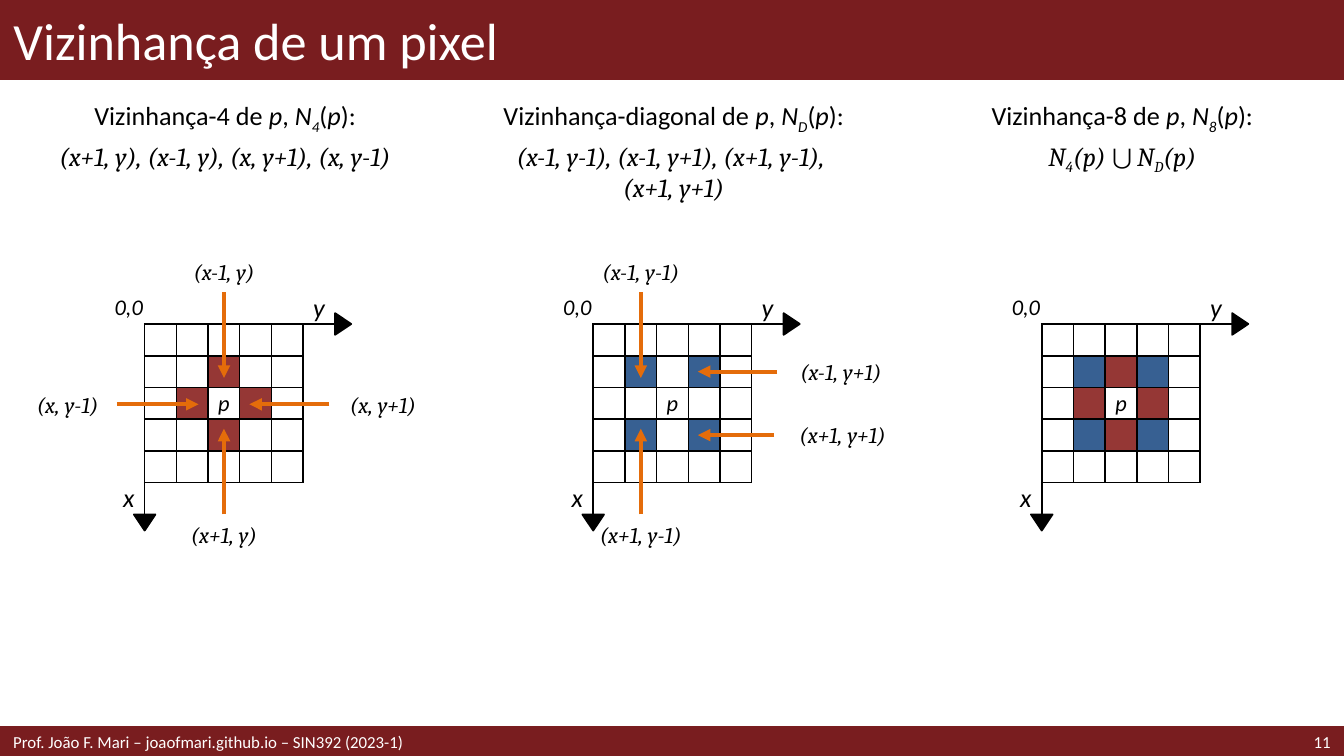
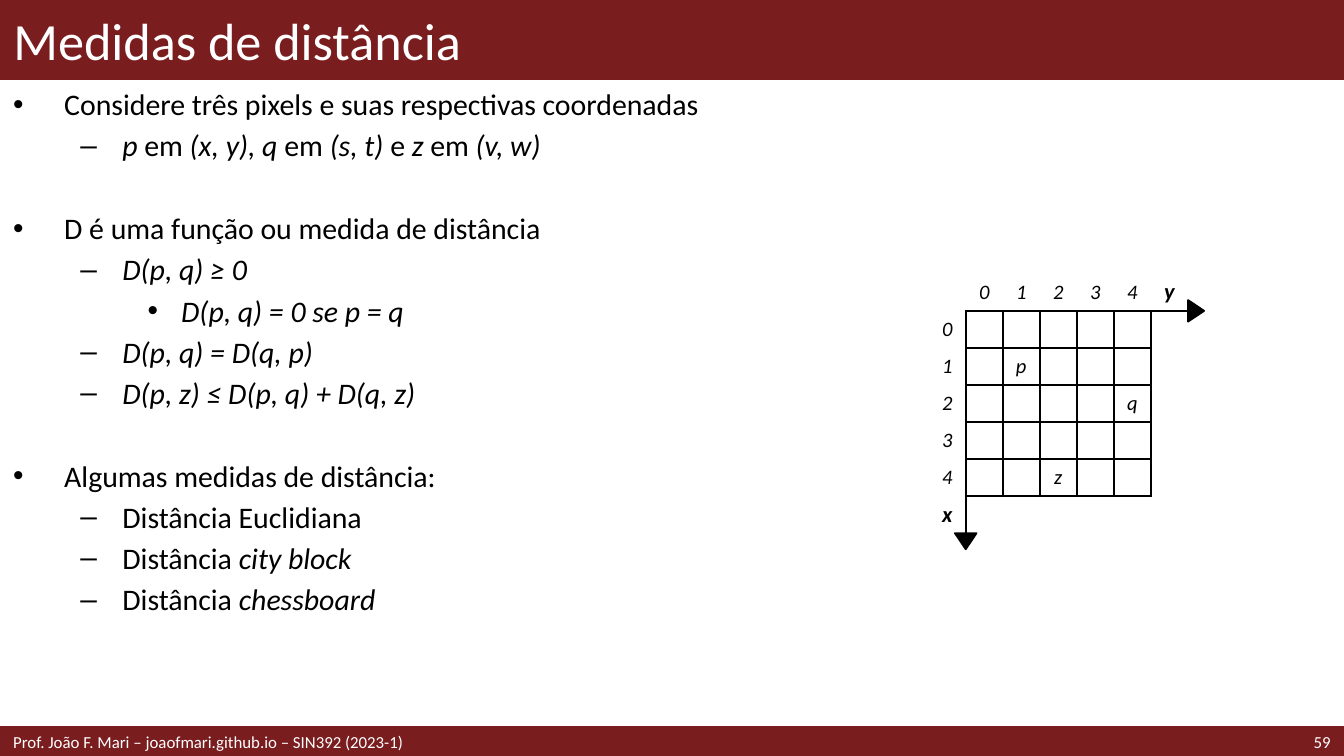
from copy import deepcopy

from lxml import etree
from pptx import Presentation
from pptx.dml.color import RGBColor
from pptx.enum.shapes import MSO_CONNECTOR, MSO_SHAPE
from pptx.enum.text import MSO_ANCHOR, MSO_AUTO_SIZE, PP_ALIGN
from pptx.oxml.ns import qn
from pptx.util import Pt

STRAIGHT = MSO_CONNECTOR.STRAIGHT
RECTANGLE, TRIANGLE = MSO_SHAPE.RECTANGLE, MSO_SHAPE.ISOSCELES_TRIANGLE
TOP, MIDDLE = MSO_ANCHOR.TOP, MSO_ANCHOR.MIDDLE
NO_FIT = MSO_AUTO_SIZE.NONE
LEFT, CENTER, RIGHT = PP_ALIGN.LEFT, PP_ALIGN.CENTER, PP_ALIGN.RIGHT

COLORS = {
    "band": "791D1F",
    "white": "FFFFFF",
    "black": "000000",
    "red": "953735",
    "blue": "376092",
    "orange": "E46C0A",
}
WIDTH, HEIGHT = 720, 405
TITLE_HEIGHT, FOOTER_TOP, FOOTER_HEIGHT = 42.5, 390, 15
FOOTER = "Prof. João F. Mari – joaofmari.github.io – SIN392 (2023-1)"
NO_TABLE_STYLE = "{2D5ABB26-0587-4C30-8999-92F81FD0307C}"
GRID_COUNT = 7
LABEL_HEIGHT = 21.6
ARROW_END = 13.6

SIDES = [(3, 2), (3, 4), (2, 3), (4, 3)]
DIAGONALS = [(2, 2), (2, 4), (4, 2), (4, 4)]
RED_CELLS = dict.fromkeys(SIDES, "red")
BLUE_CELLS = dict.fromkeys(DIAGONALS, "blue")

# Each neighbour: text, label width, direction, sideways shift, arrow reach.
NEIGHBOURHOODS = [
    {
        "heading": "Vizinhança-4 de *p*, *N_4_*(*p*):",
        "formula": "*(x+1, y), (x-1, y), (x, y+1), (x, y-1)*",
        "fills": RED_CELLS,
        "neighbours": [
            ("(x-1, y)", 52.6, (0, -1), 0, 59.5),
            ("(x+1, y)", 57.6, (0, 1), 0, 59.5),
            ("(x, y-1)", 52.6, (-1, 0), 0.5, 57.4),
            ("(x, y+1)", 57.6, (1, 0), 0.5, 56.4),
        ],
    },
    {
        "heading": "Vizinhança-diagonal de *p*, *N_D_*(*p*):",
        "formula": "*(x-1, y-1), (x-1, y+1), (x+1, y-1), \n(x+1, y+1)*",
        "fills": BLUE_CELLS,
        "neighbours": [
            ("(x-1, y-1)", 63.4, (0, -1), -17, 59.5),
            ("(x-1, y+1)", 68.4, (1, 0), -17, 56),
            ("(x+1, y-1)", 68.4, (0, 1), -17, 59.5),
            ("(x+1, y+1)", 73.4, (1, 0), 17, 54.4),
        ],
    },
    {
        "heading": "Vizinhança-8 de *p*, *N_8_*(*p*):",
        "formula": "*N_4_(p) ⋃ N_D_(p)*",
        "fills": RED_CELLS | BLUE_CELLS,
        "neighbours": [],
    },
]

BULLETS = [("•", 27.36, 27.36), ("–", 58.5, 22.5), ("•", 90, 18)]
LINE_GAP, SECTION_GAP = 2.85, 25.2
TOPICS = [
    (0, "Considere três pixels e suas respectivas coordenadas"),
    (1, "*p* em *(x, y), q* em *(s, t) *e *z* em *(v, w)*"),
    (0, "D é uma função ou medida de distância"),
    (1, "*D(p, q) ≥ 0*"),
    (2, "*D(p, q) = 0 se p = q*"),
    (1, "*D(p, q) = D(q, p)*"),
    (1, "*D(p, z) ≤ D(p, q) + D(q, z)*"),
    (0, "Algumas medidas de distância:"),
    (1, "Distância Euclidiana"),
    (1, "Distância *city block*"),
    (1, "Distância *chessboard*"),
]


def rgb(name):
    """Return the named colour."""
    return RGBColor.from_string(COLORS[name])


def write(paragraph, text, size=12, font="Calibri", color="black", bold=False, align=LEFT, before=0):
    """Write text in which * toggles italic, _ toggles subscript and a newline breaks the line."""
    paragraph.alignment = align
    paragraph.space_before = Pt(before)
    for italic_index, piece in enumerate(text.split("*")):
        for subscript_index, part in enumerate(piece.split("_")):
            for line_index, line in enumerate(part.split("\n")):
                if line_index:
                    paragraph.add_line_break()
                    paragraph._p[-1].append(deepcopy(run.font._element))
                if not line:
                    continue
                run = paragraph.add_run()
                run.text = line
                run.font.size = Pt(size)
                run.font.name = font
                run.font.bold = bold
                run.font.italic = italic_index % 2 == 1
                run.font.color.rgb = rgb(color)
                if subscript_index % 2:
                    run.font._element.set("baseline", "-25000")


def add_box(slide, left, top, width, height, anchor=TOP, wrap=True):
    """Add an empty text box and return its text frame."""
    shape = slide.shapes.add_textbox(Pt(left), Pt(top), Pt(width), Pt(height))
    frame = shape.text_frame
    frame.word_wrap = wrap
    frame.auto_size = NO_FIT
    frame.vertical_anchor = anchor
    return frame


def add_solid(slide, kind, left, top, width, height, color, line_width=1):
    """Add a preset shape of a single colour."""
    shape = slide.shapes.add_shape(kind, Pt(left), Pt(top), Pt(width), Pt(height))
    shape.shadow.inherit = False
    shape.fill.solid()
    shape.fill.fore_color.rgb = rgb(color)
    shape.line.color.rgb = rgb(color)
    shape.line.width = Pt(line_width)
    return shape


def add_arrow(slide, start, end):
    """Add an orange arrow that points at its end."""
    points = [Pt(value) for value in (*start, *end)]
    connector = slide.shapes.add_connector(STRAIGHT, *points)
    connector.line.color.rgb = rgb("orange")
    connector.line.width = Pt(2.25)
    etree.SubElement(connector.line._get_or_add_ln(), qn("a:tailEnd"), type="triangle")
    etree.SubElement(connector._element.spPr, qn("a:effectLst"))


def add_page(presentation, title, number):
    """Add a slide with its bands, title, footer and number."""
    slide = presentation.slides.add_slide(presentation.slide_layouts[5])
    bands = [
        add_solid(slide, RECTANGLE, 0, 0, WIDTH, TITLE_HEIGHT, "band"),
        add_solid(slide, RECTANGLE, 0, FOOTER_TOP, WIDTH, FOOTER_HEIGHT, "band", 2),
    ]
    for band in bands:
        slide.shapes._spTree.insert(2, band._element)
    shape = slide.shapes.title
    shape.left, shape.top, shape.width, shape.height = Pt(0), Pt(0), Pt(WIDTH), Pt(TITLE_HEIGHT)
    shape.text_frame.auto_size = NO_FIT
    shape.text_frame.vertical_anchor = MIDDLE
    write(shape.text_frame.paragraphs[0], title, size=28, color="white")
    for left, width, text, align in ((0, 496, FOOTER, LEFT), (638, 82, str(number), RIGHT)):
        frame = add_box(slide, left, FOOTER_TOP, width, FOOTER_HEIGHT, MIDDLE)
        write(frame.paragraphs[0], text, size=9, color="white", align=align)
    return slide


def has_edge(line, position):
    """Tell whether a grid line is drawn at a position, the first line being a longer axis."""
    last = GRID_COUNT - 1
    return 1 <= line <= last and (1 <= position < last or (line == 1 and position == last))


def draw_borders(cell, row, column):
    """Draw the grid and axis lines around a cell."""
    edges = {
        "L": has_edge(column, row),
        "R": has_edge(column + 1, row),
        "T": has_edge(row, column),
        "B": has_edge(row + 1, column),
    }
    properties = cell._tc.get_or_add_tcPr()
    for index, (side, visible) in enumerate(edges.items()):
        line = etree.Element(qn(f"a:ln{side}"), w=str(Pt(1)))
        if visible:
            fill = etree.SubElement(line, qn("a:solidFill"))
            etree.SubElement(fill, qn("a:srgbClr"), val=COLORS["black"])
        else:
            etree.SubElement(line, qn("a:noFill"))
        properties.insert(index, line)


def add_grid(slide, left, top, step, texts, fills, size, axis_size, bold_axes=False):
    """Add a pixel grid with its two axes, labels and axis heads."""
    extent = step * GRID_COUNT
    table = slide.shapes.add_table(
        GRID_COUNT, GRID_COUNT, Pt(left), Pt(top), Pt(extent), Pt(extent)
    ).table
    table.first_row = table.horz_banding = False
    table._tbl.tblPr.find(qn("a:tableStyleId")).text = NO_TABLE_STYLE
    axes = {(0, GRID_COUNT - 1): "y", (GRID_COUNT - 1, 0): "x"}
    labels = texts | axes
    for index in range(GRID_COUNT):
        table.columns[index].width = table.rows[index].height = Pt(step)
    for row in range(GRID_COUNT):
        for column in range(GRID_COUNT):
            cell, place = table.cell(row, column), (row, column)
            cell.margin_left = cell.margin_right = cell.margin_top = cell.margin_bottom = 0
            cell.vertical_anchor = MIDDLE
            if place in fills:
                cell.fill.solid()
                cell.fill.fore_color.rgb = rgb(fills[place])
            else:
                cell.fill.background()
            draw_borders(cell, row, column)
            paragraph = cell.text_frame.paragraphs[0]
            if place in labels:
                is_axis = place in axes
                write(paragraph, f"*{labels[place]}*", size=axis_size if is_axis else size,
                      bold=is_axis and bold_axes, align=CENTER)
            else:
                etree.SubElement(paragraph._p, qn("a:endParaRPr"), sz="800")
    head_width, head_height, gap = 11.5, 8.6, 4.3
    heads = [
        (left + extent + gap, top + step, 90),
        (left + step, top + extent + gap, 180),
    ]
    for x, y, rotation in heads:
        head = add_solid(slide, TRIANGLE, x - head_width / 2, y - head_height / 2,
                         head_width, head_height, "black")
        head.rotation = rotation


def add_neighbour(slide, center_x, center_y, text, width, direction, shift, reach):
    """Add a coordinate label and the arrow from it to a neighbour of the centre pixel."""
    across, down = direction
    x = center_x + abs(down) * shift
    y = center_y + abs(across) * shift
    start = (x + across * reach, y + down * reach)
    end = (x + across * ARROW_END, y + down * ARROW_END)
    left = start[0] + (across - 1) * width / 2
    top = start[1] + (down - 1) * LABEL_HEIGHT / 2
    frame = add_box(slide, left, top, width, LABEL_HEIGHT, wrap=False)
    write(frame.paragraphs[0], f"*{text}*", font="Cambria", align=CENTER)
    add_arrow(slide, start, end)


def add_neighbourhood(slide, left, top, width, neighbourhood):
    """Add one column with heading, formula, pixel grid and neighbour labels."""
    frame = add_box(slide, left, top, width, 67.7)
    write(frame.paragraphs[0], neighbourhood["heading"], size=14, align=CENTER)
    write(frame.add_paragraph(), neighbourhood["formula"], size=14, font="Cambria",
          align=CENTER, before=2.8)
    grid_left, grid_top, step = left + 60.5, top + 106.9, 17
    add_grid(slide, grid_left, grid_top, step, {(0, 0): "0,0", (3, 3): "p"},
             neighbourhood["fills"], size=12, axis_size=14)
    half = step * GRID_COUNT / 2
    for neighbour in neighbourhood["neighbours"]:
        add_neighbour(slide, grid_left + half, grid_top + half, *neighbour)


def add_topics(slide, left, top, width, height):
    """Add the bulleted list, with a wider gap before each main topic."""
    frame = add_box(slide, left, top, width, height)
    for index, (level, text) in enumerate(TOPICS):
        paragraph = frame.add_paragraph() if index else frame.paragraphs[0]
        character, margin, hanging = BULLETS[level]
        paragraph.level = level
        properties = paragraph._p.get_or_add_pPr()
        properties.set("marL", str(Pt(margin)))
        properties.set("indent", str(-Pt(hanging)))
        etree.SubElement(properties, qn("a:buFont"), typeface="Arial")
        etree.SubElement(properties, qn("a:buChar"), char=character)
        gap = LINE_GAP if level else SECTION_GAP
        write(paragraph, text, size=16, before=gap if index else 0)


def build_neighbourhood_slide(presentation):
    """Build the slide on the neighbourhoods of a pixel."""
    slide = add_page(presentation, "Vizinhança de um pixel", 11)
    for index, neighbourhood in enumerate(NEIGHBOURHOODS):
        add_neighbourhood(slide, index * 240.3, 49.7, 241.2, neighbourhood)


def build_distance_slide(presentation):
    """Build the slide on distance measures."""
    slide = add_page(presentation, "Medidas de distância", 59)
    add_topics(slide, 0, TITLE_HEIGHT, WIDTH, 347)
    texts = {(2, 2): "p", (3, 5): "q", (5, 3): "z"}
    for number in range(GRID_COUNT - 2):
        texts[0, number + 1] = texts[number + 1, 0] = str(number)
    add_grid(slide, 497.5, 146.7, 19.85, texts, {}, size=11, axis_size=12, bold_axes=True)


def main():
    """Build and save the presentation."""
    presentation = Presentation()
    presentation.slide_width, presentation.slide_height = Pt(WIDTH), Pt(HEIGHT)
    build_neighbourhood_slide(presentation)
    build_distance_slide(presentation)
    presentation.save("out.pptx")


if __name__ == "__main__":
    main()
